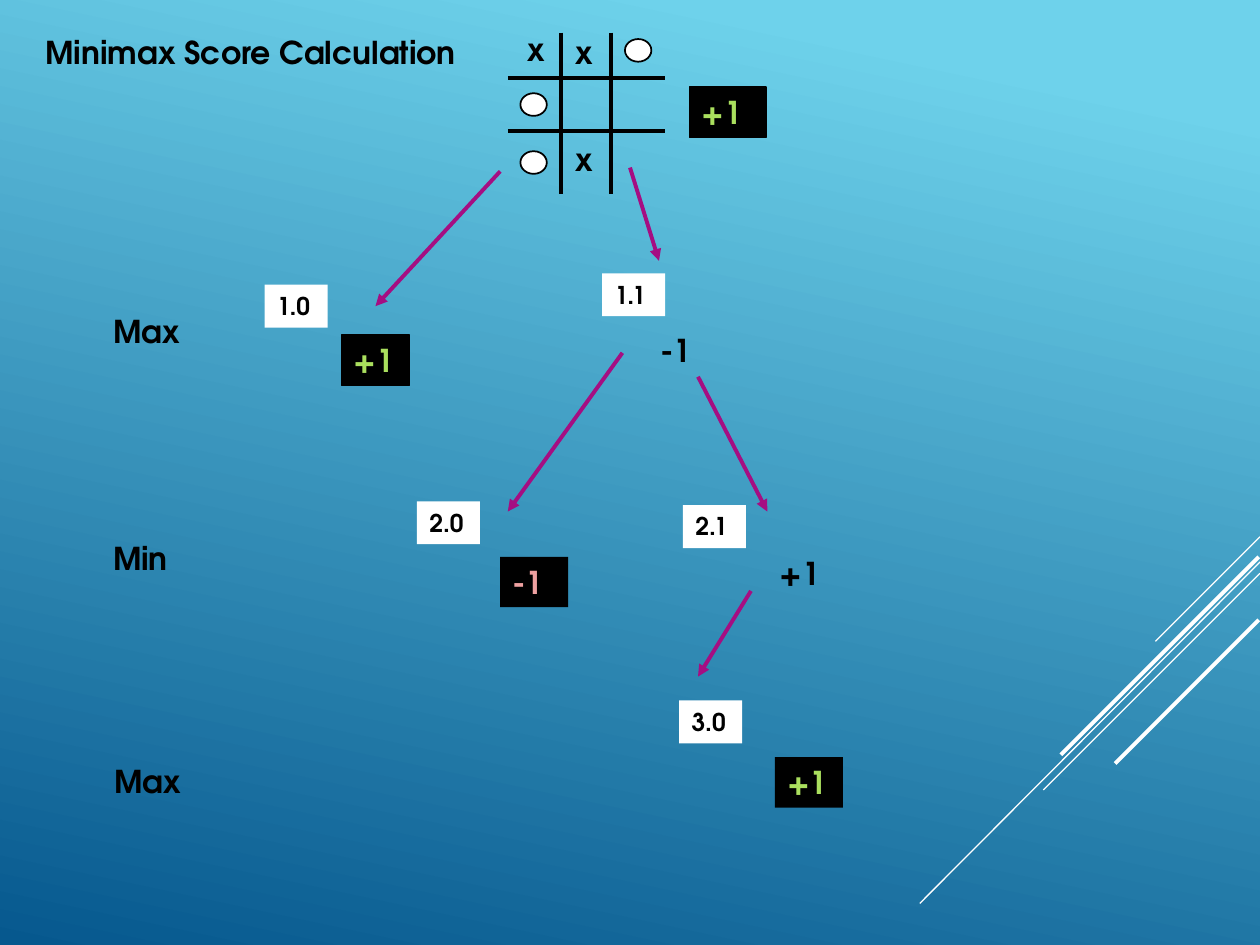
from dataclasses import dataclass

from lxml import etree
from pptx import Presentation
from pptx.dml.color import RGBColor
from pptx.enum import shapes, text
from pptx.oxml import ns
from pptx.util import Inches, Pt


@dataclass(frozen=True)
class Theme:
    font: str = "TeX Gyre Adventor"
    body: int = 18
    label: int = 14
    black: str = "000000"
    white: str = "FFFFFF"
    win: str = "AADF5E"
    loss: str = "EEA1A1"
    branch: str = "A50E82"
    sky: str = "6ED2EB"
    deep: str = "06588E"
    hairline: float = 0.75
    outline: float = 1
    stroke: float = 2.25


THEME = Theme()
LINE_HEIGHT = 0.4


def rgb(color):
    return RGBColor.from_string(color)


def paint_background(slide):
    fill = slide.background.fill
    fill.gradient()
    fill.gradient_angle = 360 - 102
    stops = ((0.1, THEME.sky), (1, THEME.deep))
    for stop, (position, color) in zip(fill.gradient_stops, stops):
        stop.position = position
        stop.color.rgb = rgb(color)


def write(frame, words, color=THEME.black, size=THEME.body):
    frame.word_wrap = True
    frame.vertical_anchor = text.MSO_ANCHOR.TOP
    paragraph = frame.paragraphs[0]
    paragraph.alignment = text.PP_ALIGN.LEFT
    run = paragraph.add_run()
    run.text = words
    run.font.name = THEME.font
    run.font.size = Pt(size)
    run.font.bold = True
    run.font.color.rgb = rgb(color)


def add_title(slide, words, left, top, width):
    title = slide.shapes.title
    title.left, title.top = Inches(left), Inches(top)
    title.width, title.height = Inches(width), Inches(LINE_HEIGHT)
    title.text_frame.auto_size = text.MSO_AUTO_SIZE.NONE
    write(title.text_frame, words)


def add_text(slide, words, left, top, width=1):
    box = slide.shapes.add_textbox(
        Inches(left), Inches(top), Inches(width), Inches(LINE_HEIGHT))
    write(box.text_frame, words)


def add_line(slide, start, end, color, width, arrow=False):
    line = slide.shapes.add_connector(
        shapes.MSO_CONNECTOR.STRAIGHT, *map(Inches, (*start, *end)))
    line.line.color.rgb = rgb(color)
    line.line.width = Pt(width)
    properties = line._element.spPr
    if arrow:
        head = etree.SubElement(line.line._get_or_add_ln(), ns.qn("a:tailEnd"))
        head.set("type", "triangle")
    etree.SubElement(properties, ns.qn("a:effectLst"))


def add_solid(slide, kind, box, fill, outline=None):
    solid = slide.shapes.add_shape(kind, *map(Inches, box))
    solid.shadow.inherit = False
    solid.fill.solid()
    solid.fill.fore_color.rgb = rgb(fill)
    if outline:
        solid.line.color.rgb = rgb(THEME.black)
        solid.line.width = Pt(outline)
    else:
        solid.line.fill.background()
    return solid


def add_score(slide, words, left, top, color, width=0.54, outline=None):
    score = add_solid(slide, shapes.MSO_SHAPE.RECTANGLE,
                      (left, top, width, LINE_HEIGHT), THEME.black, outline)
    write(score.text_frame, words, color)


def add_node_label(slide, words, left, top):
    label = add_solid(slide, shapes.MSO_SHAPE.RECTANGLE,
                      (left, top, 0.5, 0.34), THEME.white)
    write(label.text_frame, words, size=THEME.label)


def add_corner_stripes(slide):
    for start, end, width in (
        ((10, 4.26), (9.17, 5.09), THEME.hairline),
        ((10, 4.46), (7.3, 7.17), THEME.hairline),
        ((10, 4.55), (8.28, 6.27), THEME.hairline),
        ((9.99, 4.42), (8.42, 5.99), THEME.stroke),
        ((9.99, 4.92), (8.85, 6.06), THEME.stroke),
    ):
        add_line(slide, start, end, THEME.white, width)


def add_board(slide):
    for x in (4.45, 4.85):
        add_line(slide, (x, 0.26), (x, 1.54), THEME.black, THEME.stroke)
    for y in (0.62, 1.04):
        add_line(slide, (4.03, y), (5.28, y), THEME.black, THEME.stroke)
    for left, top in ((4.96, 0.31), (4.13, 0.74), (4.13, 1.2)):
        add_solid(slide, shapes.MSO_SHAPE.OVAL, (left, top, 0.21, 0.18),
                  THEME.white, THEME.outline)
    for left, top, width in ((4.09, 0.19, 0.33), (4.47, 0.21, 0.62), (4.47, 1.06, 0.62)):
        add_text(slide, "x", left, top, width)


def add_tree(slide):
    add_score(slide, "+1", 2.71, 2.66, THEME.win, outline=THEME.hairline)
    add_score(slide, "-1", 3.97, 4.42, THEME.loss)
    add_score(slide, "+1", 6.15, 6.01, THEME.win)
    for start, end in (
        ((3.97, 1.36), (2.98, 2.43)),
        ((5, 1.33), (5.23, 2.07)),
        ((4.94, 2.8), (4.03, 4.06)),
        ((5.54, 2.99), (6.09, 4.06)),
        ((5.96, 4.69), (5.54, 5.37)),
    ):
        add_line(slide, start, end, THEME.branch, THEME.stroke, arrow=True)
    for words, left, top in (
        ("1.0", 2.1, 2.26),
        ("1.1", 4.78, 2.17),
        ("2.0", 3.31, 3.98),
        ("2.1", 5.42, 4.01),
        ("3.0", 5.39, 5.56),
    ):
        add_node_label(slide, words, left, top)
    for words, left, top in (
        ("+1", 6.09, 4.35),
        ("-1", 5.14, 2.58),
        ("Max", 0.8, 2.43),
        ("Min", 0.8, 4.23),
        ("Max", 0.81, 6),
    ):
        add_text(slide, words, left, top)
    add_score(slide, "+1", 5.47, 0.69, THEME.win, width=0.61, outline=THEME.hairline)


def main():
    deck = Presentation()
    deck.slide_width, deck.slide_height = Inches(10), Inches(7.5)
    slide = deck.slides.add_slide(deck.slide_layouts.get_by_name("Title Only"))
    paint_background(slide)
    add_title(slide, "Minimax Score Calculation", 0.26, 0.21, 3.61)
    add_corner_stripes(slide)
    add_board(slide)
    add_tree(slide)
    deck.save("out.pptx")


if __name__ == "__main__":
    main()
